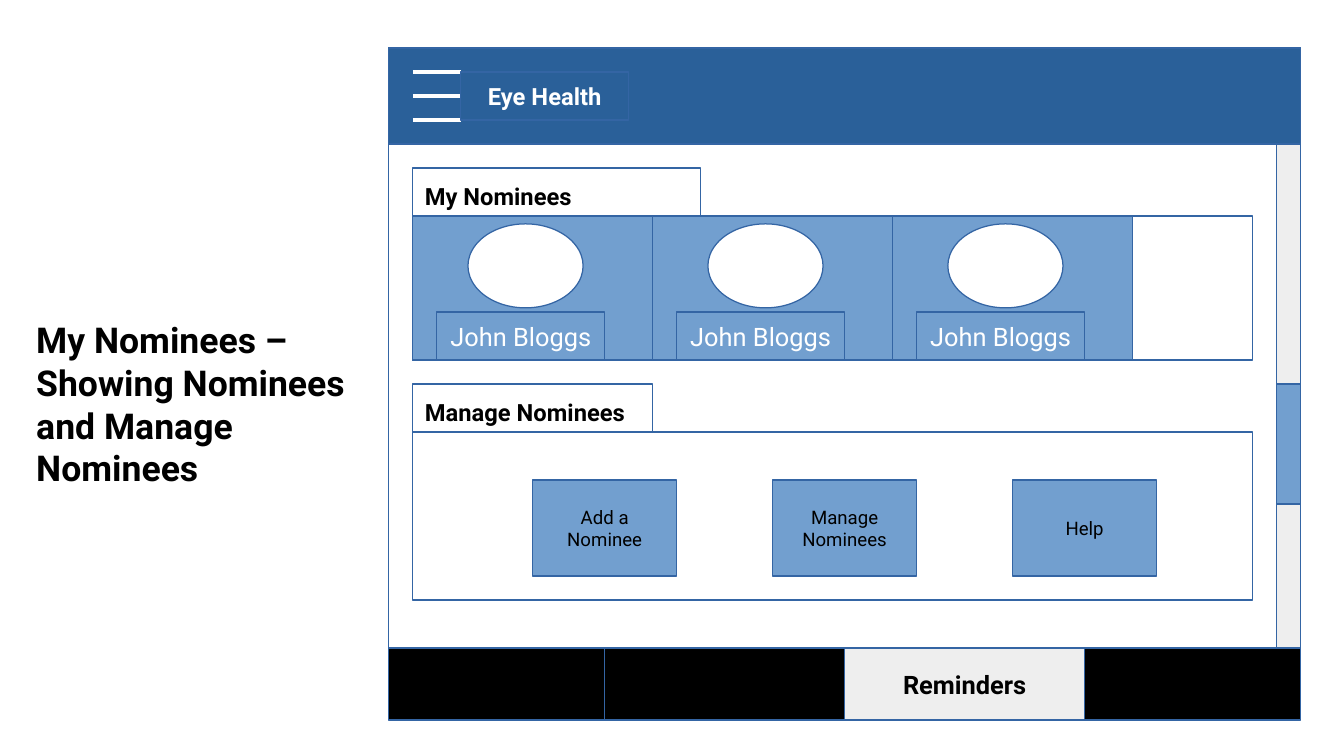
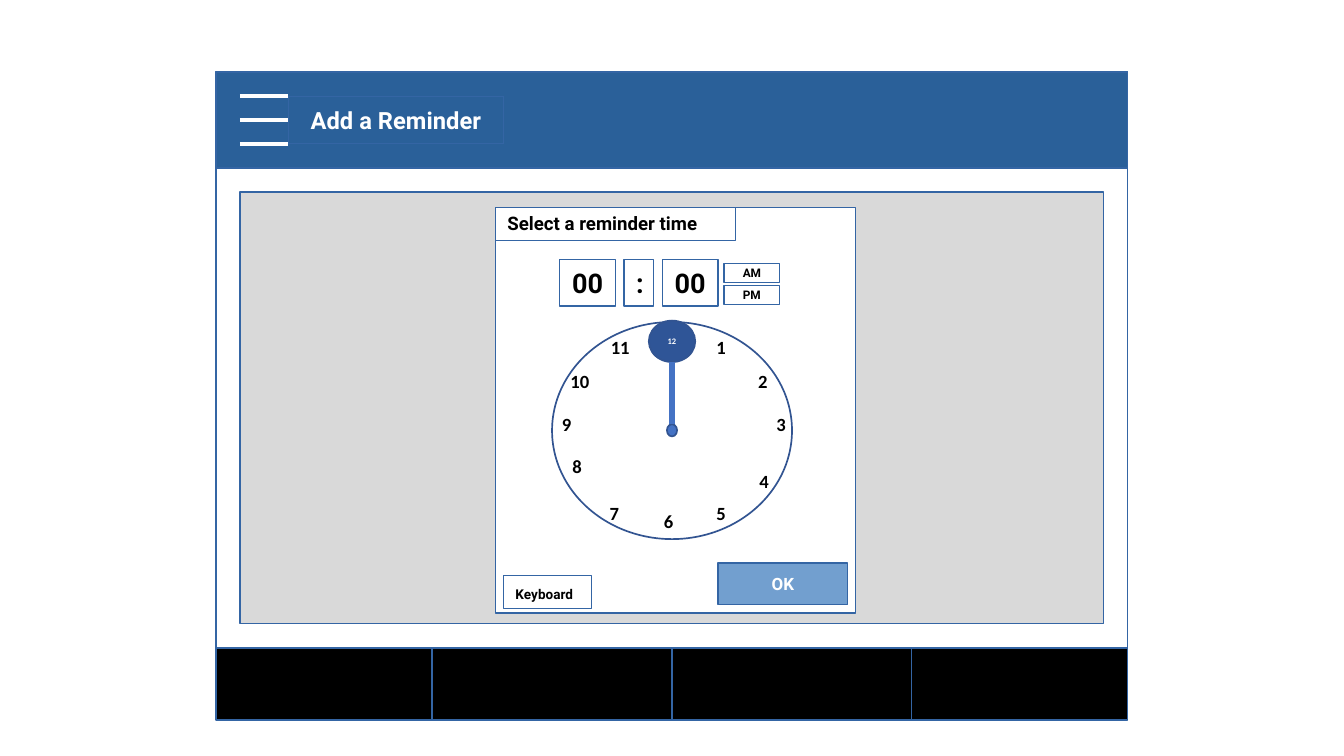
from lxml.etree import SubElement
from pptx import Presentation
from pptx.dml.color import RGBColor
from pptx.enum.shapes import MSO_CONNECTOR, MSO_SHAPE
from pptx.enum.text import MSO_ANCHOR, MSO_AUTO_SIZE, PP_ALIGN
from pptx.oxml.ns import qn
from pptx.util import Pt

UNIT = 14.17  # the 5 mm grid on which the app screens are drawn


def color(hex_value):
    return RGBColor.from_string(hex_value)


def grid(*units):
    return [UNIT * n for n in units]


class Mockup:
    """Draws on the current slide, in points from the app screen's corner."""

    FONT, NUMERAL_FONT = "Roboto", "Calibri"
    BLACK, WHITE = "000000", "FFFFFF"
    OUTLINE, HEADER, ACCENT = "3465A4", "2A6099", "729FCF"
    PALE, BACKDROP = "EEEEEE", "D9D9D9"
    CLOCK_LINE, CLOCK_DISC, CLOCK_HAND = "325491", "2F5597", "4472C4"

    def __init__(self):
        self.deck = Presentation()
        self.deck.slide_width, self.deck.slide_height = Pt(793.7), Pt(446.4)

    def new_slide(self, left, top):
        self.slide = self.deck.slides.add_slide(self.deck.slide_layouts[5])
        self.left, self.top = left, top

    def point(self, x, y):
        return Pt(self.left + x), Pt(self.top + y)

    def place(self, x, y, w, h):
        return *self.point(x, y), Pt(w), Pt(h)

    def add_text(self, shape, text, size, ink=BLACK, bold=True, font=FONT,
                 align=PP_ALIGN.CENTER, anchor=MSO_ANCHOR.MIDDLE):
        frame = shape.text_frame
        frame.word_wrap = True
        frame.auto_size = MSO_AUTO_SIZE.NONE
        frame.vertical_anchor = anchor
        paragraph = frame.paragraphs[0]
        paragraph.alignment = align
        run = paragraph.add_run()
        run.text = text
        run.font.name, run.font.size, run.font.bold = font, Pt(size), bold
        run.font.color.rgb = color(ink)

    def outline(self, shape, line=OUTLINE, weight=0):
        shape.line.color.rgb = color(line)
        shape.line.width = Pt(weight)

    def box(self, area, fill=WHITE, text=None, size=14, kind=MSO_SHAPE.RECTANGLE,
            line=OUTLINE, weight=0, **style):
        shape = self.slide.shapes.add_shape(kind, *self.place(*area))
        shape.shadow.inherit = False
        if fill:
            shape.fill.solid()
            shape.fill.fore_color.rgb = color(fill)
        else:
            shape.fill.background()
        self.outline(shape, line, weight)
        if text:
            self.add_text(shape, text, size, **style)
        return shape

    def oval(self, area, fill=WHITE, **style):
        return self.box(area, fill, kind=MSO_SHAPE.OVAL, **style)

    def tab(self, area, text, size=14):
        self.box(area, self.WHITE, text, size,
                 align=PP_ALIGN.LEFT, anchor=MSO_ANCHOR.BOTTOM)

    def numeral(self, area, text):
        label = self.slide.shapes.add_textbox(*self.place(*area))
        self.add_text(label, text, 11, font=self.NUMERAL_FONT)

    def title(self, area, text, size, **style):
        """Fill the title placeholder and bring it to the front."""
        title = self.slide.shapes.title
        title.left, title.top, title.width, title.height = self.place(*area)
        self.add_text(title, text, size, **style)
        title.element.getparent().append(title.element)
        return title

    def line(self, x1, y1, x2, y2, ink, weight):
        line = self.slide.shapes.add_connector(
            MSO_CONNECTOR.STRAIGHT, *self.point(x1, y1), *self.point(x2, y2))
        self.outline(line, ink, weight)
        SubElement(line.element.spPr, qn("a:effectLst"))
        return line

    def app_screen(self, rows):
        """Frame, header with menu icon, and the footer's backing."""
        self.box(grid(0, 0, 38, rows))
        self.box(grid(0, 0, 38, 4), self.HEADER)
        for row in (1, 2, 3):
            self.line(*grid(1, row, 3, row), self.WHITE, 2.83)
        self.box(grid(0, rows - 3, 38, 3), self.BLACK)

    def footer(self, rows, labels):
        edges = (0, 9, 19, 29, 38)
        for start, end, label in zip(edges, edges[1:], labels):
            self.box(grid(start, rows - 3, end - start, 3),
                     self.PALE if label else self.BLACK, label, 15)


def nominees_slide(m):
    m.new_slide(229.6, 28.35)
    m.title((-215.4, 156, 198.7, 147.6),
            "My Nominees – Showing Nominees and Manage Nominees", 21,
            align=PP_ALIGN.LEFT, anchor=MSO_ANCHOR.TOP)
    rows = 28
    m.app_screen(rows)
    m.box(grid(3, 1, 7, 2), None, "Eye Health", ink=m.WHITE)
    m.box(grid(1, 7, 35, 6))
    m.box(grid(1, 16, 35, 7))
    m.tab(grid(1, 5, 12, 2), "My Nominees")
    m.tab(grid(1, 14, 10, 2), "Manage Nominees")
    m.footer(rows, (None, None, "Reminders", None))
    for i, action in enumerate(("Add a Nominee", "Manage Nominees", "Help")):
        m.box(grid(6 + 10 * i, 18, 6, 4), m.ACCENT, action, 11, bold=False)
    m.box(grid(37, 4, 1, 21), m.PALE)
    m.box(grid(37, 14, 1, 5), m.ACCENT)
    for card in (1, 11, 21):
        m.box(grid(card, 7, 10, 6), m.ACCENT)
        m.oval(grid(card + 2.3, 7.33, 4.8, 3.5))
        m.box(grid(card + 1, 11, 7, 2), m.ACCENT, "John Bloggs", 15,
              ink=m.WHITE, bold=False)


def clock(m):
    center_x, center_y = 269.3, 211.7
    m.oval((center_x - 70.85, center_y - 64.1, 141.7, 128.2),
           line=m.CLOCK_LINE, weight=1)
    m.oval((center_x - 13.7, 146.8, 27.4, 24.5), m.CLOCK_DISC, text="12", size=5,
           ink=m.WHITE, font=m.NUMERAL_FONT, line=m.CLOCK_LINE, weight=1)
    hour_offsets = ((29, -49), (53.6, -29), (64.4, -4), (54.4, 30),
                    (29, 48.6), (-2, 53.6), (-34, 48.6), (-56, 21),
                    (-62.3, -4), (-54.4, -29), (-30.6, -49))
    for hour, (dx, dy) in enumerate(hour_offsets, 1):
        m.numeral((center_x + dx - 13.7, center_y + dy - 11.2, 27.4, 22.4), str(hour))
    hub = m.oval((center_x - 3, 208, 6, 7.2), m.CLOCK_HAND,
                 line=m.CLOCK_LINE, weight=1)
    hand = m.line(center_x, 208, center_x, 171.3, m.CLOCK_HAND, 3)
    hand.begin_connect(hub, 0)


def reminder_slide(m):
    m.new_slide(127.56, 42.52)
    rows = 27
    m.app_screen(rows)
    m.outline(m.title(grid(3, 1, 9, 2), "Add a Reminder", 14, ink=m.WHITE))
    m.box(grid(1, 5, 36, 18), m.BACKDROP)
    m.footer(rows, (None,) * 4)
    m.box((165, 80, 212.6, 239.5))
    m.tab((165, 80, 141.7, 19.4), "Select a reminder time", 11)
    for x, width, part in ((203, 33, "00"), (241, 17.5, ":"), (263.5, 33, "00")):
        m.box((x, 110.8, width, 27.4), text=part, size=16)
    for y, half in ((113, "AM"), (126, "PM")):
        m.box((300, y, 33, 11.5), text=half, size=7)
    m.box((296.5, 290, 76.5, 24.5), m.ACCENT, "OK", 10, ink=m.WHITE)
    m.tab((169.8, 297.3, 52, 19.4), "Keyboard", 8)
    clock(m)


def main():
    mockup = Mockup()
    nominees_slide(mockup)
    reminder_slide(mockup)
    mockup.deck.save("out.pptx")


if __name__ == "__main__":
    main()
